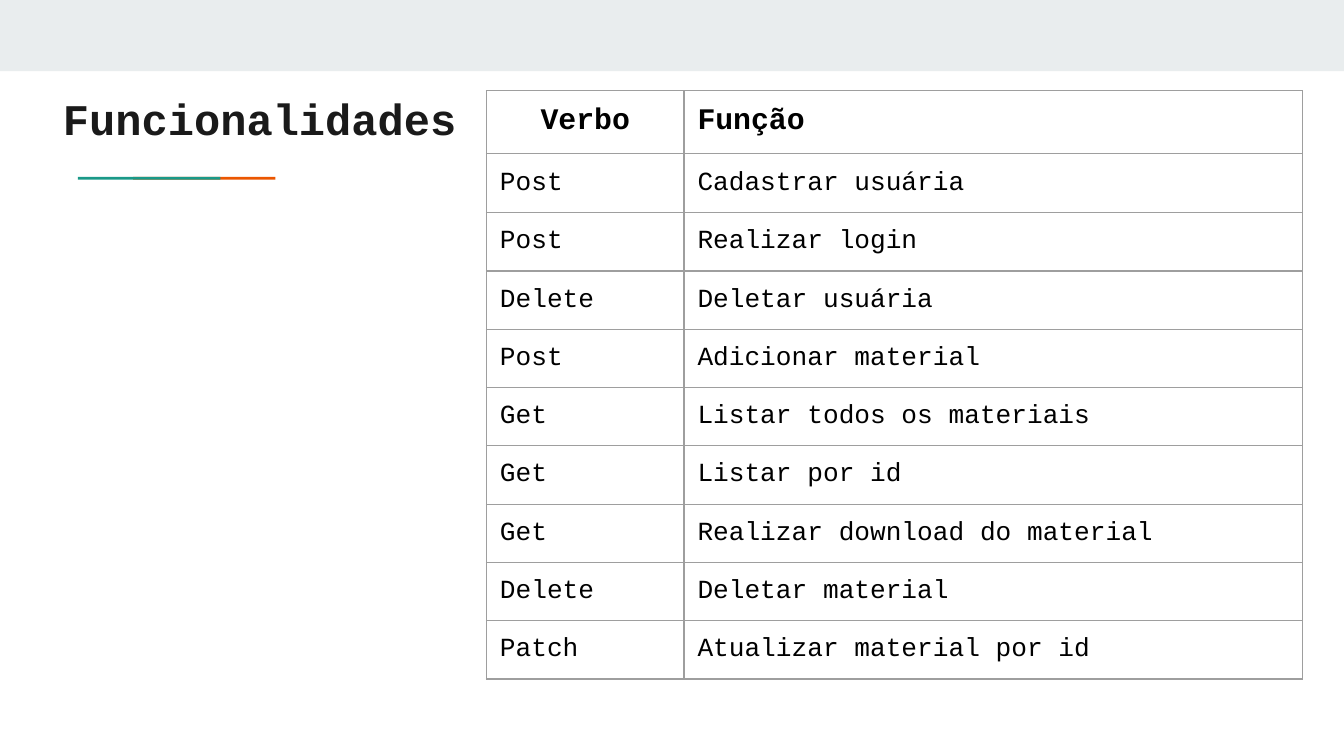
from dataclasses import dataclass

from lxml.etree import SubElement
from pptx import Presentation
from pptx.dml.color import RGBColor
from pptx.enum.shapes import MSO_SHAPE
from pptx.enum.text import MSO_ANCHOR, PP_ALIGN
from pptx.oxml.ns import qn
from pptx.util import Inches, Pt


@dataclass(frozen=True)
class Theme:
    """Colours and type sizes of the slide."""
    font: str = "Courier New"
    band: str = "E9EDEE"
    green: str = "1A9988"
    orange: str = "EB5600"
    ink: str = "1A1A1A"
    black: str = "000000"
    rule: str = "9E9E9E"
    title: float = 23.4
    head: float = 16
    body: float = 14
    line: float = 0.75
    inset: float = 1


class Page:
    """Draws on one slide over a grid of a hundred columns of square cells."""

    def __init__(self, deck, theme):
        """Add a blank slide, set the base font and work out the grid step."""
        self.slide = deck.slides.add_slide(deck.slide_layouts[6])
        self.theme = theme
        self.step = deck.slide_width / 100
        for root in (deck.element, deck.slide_master.element):
            for latin in root.iter(qn("a:latin")):
                latin.set("typeface", theme.font)

    def span(self, *cells):
        """Turn grid cells into lengths."""
        return [round(cell * self.step) for cell in cells]

    def style(self, par, size, color, bold=False):
        """Set the font of a paragraph."""
        font = par.font
        font.name, font.size, font.bold = self.theme.font, Pt(size), bold
        font.color.rgb = RGBColor.from_string(color)

    def bar(self, box, color):
        """Draw a plain filled bar."""
        shape = self.slide.shapes.add_shape(MSO_SHAPE.RECTANGLE, *self.span(*box))
        shape.shadow.inherit = False
        shape.fill.solid()
        shape.fill.fore_color.rgb = RGBColor.from_string(color)
        shape.line.fill.background()

    def pad(self, area):
        """Set equal margins on a text frame or a cell."""
        inset, = self.span(self.theme.inset)
        area.margin_left = area.margin_right = inset
        area.margin_top = area.margin_bottom = inset

    def title(self, box, text):
        """Write the slide title."""
        frame = self.slide.shapes.add_textbox(*self.span(*box)).text_frame
        frame.word_wrap = True
        self.pad(frame)
        par = frame.paragraphs[0]
        par.text = text
        self.style(par, self.theme.title, self.theme.ink, True)

    def edge(self, cell):
        """Rule all four sides of a cell."""
        props = cell._tc.get_or_add_tcPr()
        for side in ("lnL", "lnR", "lnT", "lnB"):
            line = SubElement(props, qn(f"a:{side}"), w=str(Pt(self.theme.line)))
            fill = SubElement(line, qn("a:solidFill"))
            SubElement(fill, qn("a:srgbClr"), val=self.theme.rule)

    def cell(self, cell, text, head, center):
        """Fill in one table cell."""
        theme = self.theme
        self.edge(cell)
        cell.fill.background()
        self.pad(cell)
        cell.vertical_anchor = MSO_ANCHOR.TOP if head else MSO_ANCHOR.MIDDLE
        par = cell.text_frame.paragraphs[0]
        par.text = text
        par.alignment = PP_ALIGN.CENTER if center else PP_ALIGN.LEFT
        self.style(par, theme.head if head else theme.body, theme.black, head)

    def table(self, left, top, wide, high, rows):
        """Draw a ruled table with a head row."""
        box = self.span(left, top, sum(wide), sum(high))
        grid = self.slide.shapes.add_table(len(rows), len(wide), *box).table
        grid.horz_banding = False
        for col, width in zip(grid.columns, self.span(*wide)):
            col.width = width
        for row, height in zip(grid.rows, self.span(*high)):
            row.height = height
        for r, row in enumerate(rows):
            for c, text in enumerate(row):
                self.cell(grid.cell(r, c), text, r == 0, r == c == 0)


ROWS = [
    ("Verbo", "Função"),
    ("Post", "Cadastrar usuária"),
    ("Post", "Realizar login"),
    ("Delete", "Deletar usuária"),
    ("Post", "Adicionar material"),
    ("Get", "Listar todos os materiais"),
    ("Get", "Listar por id"),
    ("Get", "Realizar download do material"),
    ("Delete", "Deletar material"),
    ("Patch", "Atualizar material por id"),
]


def main():
    """Build and save the slide."""
    deck = Presentation()
    deck.slide_width = Inches(10)
    deck.slide_height = deck.slide_width * 9 // 16
    theme = Theme()
    page = Page(deck, theme)
    page.bar((0, 0, 100, 5.3), theme.band)
    for left, color in ((9.9, theme.orange), (5.8, theme.green)):
        page.bar((left, 13.17, 10.6, 0.2), color)
    page.title((3.7, 5.8, 32.5, 5.9), "Funcionalidades")
    high = [4.5, 4.4] + [4.2] * (len(ROWS) - 2)
    page.table(36.2, 6.75, (14.7, 46), high, ROWS)
    deck.save("out.pptx")


if __name__ == "__main__":
    main()
